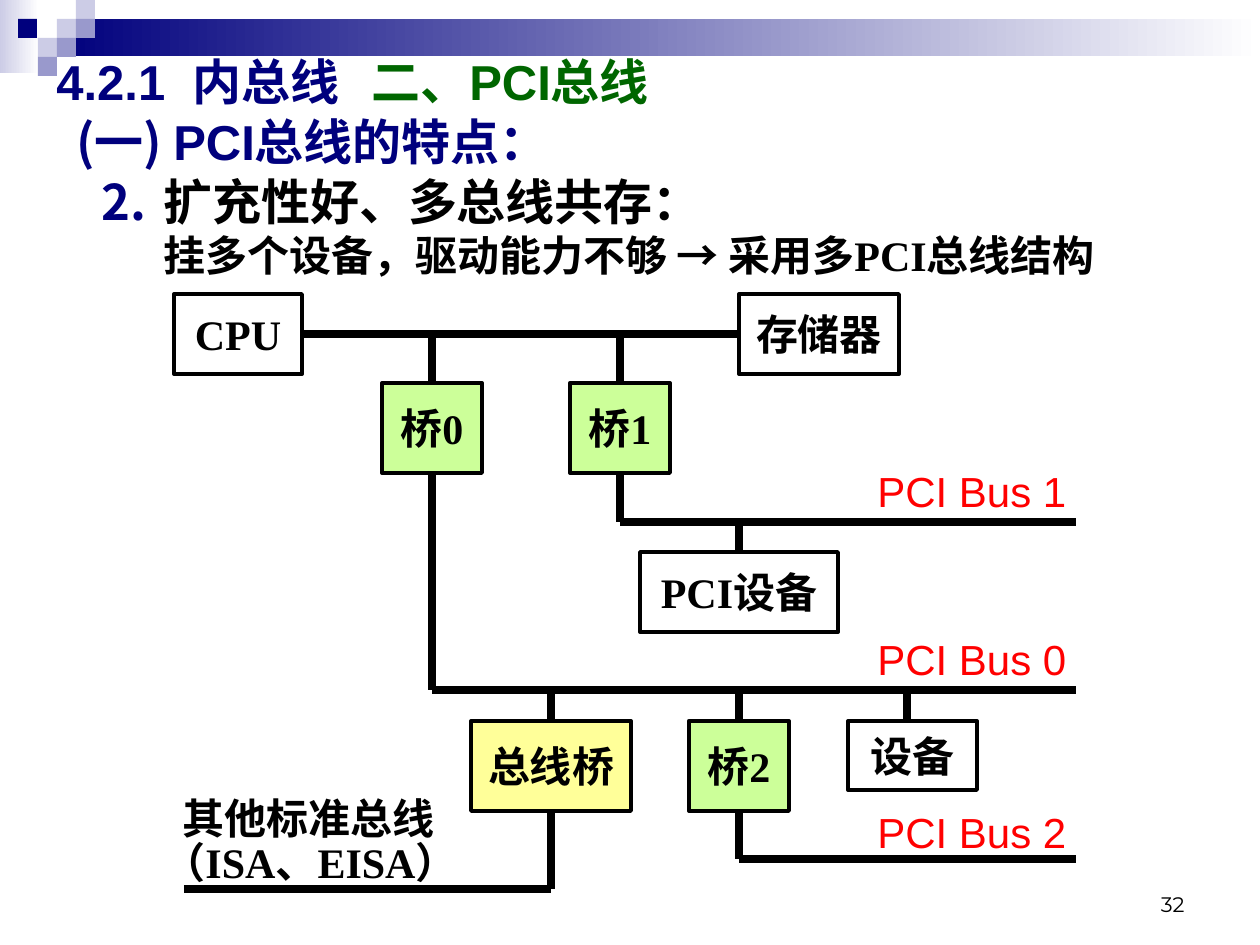
from pptx import Presentation
from pptx.dml.color import RGBColor
from pptx.enum.shapes import MSO_CONNECTOR, MSO_SHAPE
from pptx.enum.text import MSO_ANCHOR, PP_ALIGN
from pptx.oxml.ns import qn
from pptx.util import Pt
from lxml.etree import SubElement

PX = 914400 / 126
NAVY, GREEN, BLACK, RED = "00007D", "006600", "000000", "FF0000"
LILAC, VIOLET, LIME, CREAM = "CCCCE6", "9999CC", "CCFF99", "FFFF99"
SERIF, SANS, CJK = "Times New Roman", "Arial", "Noto Sans CJK SC"


def color(value):
    return RGBColor.from_string(value)


def write(paragraph, pieces, bold=True):
    for text, size, font, ink in pieces:
        run = paragraph.add_run()
        run.text = text
        run.font.size = Pt(size)
        run.font.name = font
        run.font.bold = bold
        run.font.color.rgb = color(ink)
        SubElement(run.font._element, qn("a:ea")).set("typeface", CJK)
        if text.endswith("存:") or text.endswith("存："):
            paragraph.add_line_break()


prs = Presentation()
prs.slide_width, prs.slide_height = round(1260 * PX), round(945 * PX)
slide = prs.slides.add_slide(prs.slide_layouts[6])
shapes = slide.shapes

for x, y, w, h, tint, fades in [
    (0, 0, 39, 73, LILAC, True),
    (57, 19, 1203, 37, NAVY, True),
    (57, 19, 19, 19, LILAC, False),
    (76, 0, 19, 19, LILAC, False),
    (76, 19, 19, 19, VIOLET, False),
    (38, 38, 19, 19, LILAC, False),
    (18, 19, 19, 19, NAVY, False),
    (57, 38, 19, 19, VIOLET, False),
    (38, 57, 19, 19, VIOLET, False),
]:
    tile = shapes.add_shape(MSO_SHAPE.RECTANGLE, *[round(v * PX) for v in (x, y, w, h)])
    tile.shadow.inherit = False
    tile.line.fill.background()
    if fades:
        tile.fill.gradient()
        tile.fill.gradient_angle = 0
        for stop, shade in zip(tile.fill.gradient_stops, (tint, "FFFFFF")):
            stop.color.rgb = color(shade)
    else:
        tile.fill.solid()
        tile.fill.fore_color.rgb = color(tint)

node = {}
for label, x, y, w, h, tint in [
    ("CPU", 174, 294, 128, 80, None),
    ("存储器", 739, 294, 160, 80, None),
    ("桥0", 382, 383, 100, 90, LIME),
    ("桥1", 570, 383, 100, 90, LIME),
    ("PCI设备", 640, 552, 198, 80, None),
    ("总线桥", 471, 721, 160, 90, CREAM),
    ("桥2", 689, 721, 100, 90, LIME),
    ("设备", 848, 721, 129, 69, None),
]:
    box = shapes.add_shape(MSO_SHAPE.RECTANGLE, *[round(v * PX) for v in (x, y, w, h)])
    box.shadow.inherit = False
    if tint:
        box.fill.solid()
        box.fill.fore_color.rgb = color(tint)
    else:
        box.fill.background()
    box.line.color.rgb = color(BLACK)
    box.line.width = Pt(2.25)
    frame = box.text_frame
    frame.word_wrap = False
    frame.vertical_anchor = MSO_ANCHOR.MIDDLE
    frame.paragraphs[0].alignment = PP_ALIGN.CENTER
    write(frame.paragraphs[0], [(label, 24, SERIF, BLACK)])
    node[label] = box

for x1, y1, x2, y2, begin, end in [
    (302, 334, 739, 334, ("CPU", 3), ("存储器", 1)),
    (432, 383, 432, 334, ("桥0", 0), None),
    (620, 383, 620, 334, ("桥1", 0), None),
    (620, 473, 620, 522, ("桥1", 2), None),
    (620, 522, 1076, 522, None, None),
    (739, 552, 739, 522, ("PCI设备", 0), None),
    (432, 473, 432, 690, ("桥0", 2), None),
    (432, 690, 1076, 690, None, None),
    (551, 721, 551, 690, ("总线桥", 0), None),
    (739, 721, 739, 690, ("桥2", 0), None),
    (907, 721, 907, 690, None, None),
    (739, 811, 739, 859, ("桥2", 2), None),
    (739, 859, 1076, 859, None, None),
    (551, 811, 551, 889, ("总线桥", 2), None),
    (184, 889, 551, 889, None, None),
]:
    wire = shapes.add_connector(
        MSO_CONNECTOR.STRAIGHT, *[round(v * PX) for v in (x1, y1, x2, y2)]
    )
    wire.line.color.rgb = color(BLACK)
    wire.line.width = Pt(4.5)
    SubElement(wire._element.spPr, qn("a:effectLst"))
    if begin:
        wire.begin_connect(node[begin[0]], begin[1])
    if end:
        wire.end_connect(node[end[0]], end[1])

LEFT, CENTER, RIGHT = PP_ALIGN.LEFT, PP_ALIGN.CENTER, PP_ALIGN.RIGHT
for x, y, w, h, align, bold, pieces in [
    (44, 45, 1191, 79, LEFT, True,
     [("4.2.1  内总线 \t", 28, SANS, NAVY), ("二、PCI总线", 28, SANS, GREEN)]),
    (64, 105, 1134, 79, LEFT, True,
     [("(", 28, CJK, NAVY), ("一", 28, SANS, NAVY),
      (") ", 28, CJK, NAVY), ("PCI总线的特点：", 28, SANS, NAVY)]),
    (89, 165, 1116, 745, LEFT, True,
     [("扩充性好、多总线共存：", 28, SERIF, BLACK),
      ("挂多个设备，驱动能力不够 ", 24, SERIF, BLACK),
      ("→ ", 24, CJK, BLACK), ("采用多PCI总线结构", 24, SERIF, BLACK)]),
    (858, 459, 228, 63, CENTER, False, [("PCI Bus 1", 24, SANS, RED)]),
    (858, 627, 228, 63, CENTER, False, [("PCI Bus 0", 24, SANS, RED)]),
    (858, 800, 228, 63, CENTER, False, [("PCI Bus 2", 24, SANS, RED)]),
    (151, 786, 316, 63, CENTER, True, [("其他标准总线", 24, SANS, BLACK)]),
    (144, 830, 333, 63, CENTER, True, [("（ISA、EISA）", 24, SERIF, BLACK)]),
    (903, 879, 294, 44, RIGHT, False, [("32", 12, "Montserrat", BLACK)]),
]:
    note = shapes.add_textbox(*[round(v * PX) for v in (x, y, w, h)])
    frame = note.text_frame
    frame.word_wrap = True
    paragraph = frame.paragraphs[0]
    paragraph.alignment = align
    if align == RIGHT:
        frame.vertical_anchor = MSO_ANCHOR.BOTTOM
    if len(pieces) == 4 and pieces[0][3] == BLACK:
        props = paragraph._p.get_or_add_pPr()
        props.set("marL", str(round(62 * PX)))
        props.set("indent", str(round(-62 * PX)))
        SubElement(SubElement(props, qn("a:buClr")), qn("a:srgbClr")).set("val", NAVY)
        SubElement(props, qn("a:buFont")).set("typeface", CJK)
        numbering = SubElement(props, qn("a:buAutoNum"))
        numbering.set("type", "arabicPeriod")
        numbering.set("startAt", "2")
    write(paragraph, pieces, bold)

prs.save("out.pptx")
